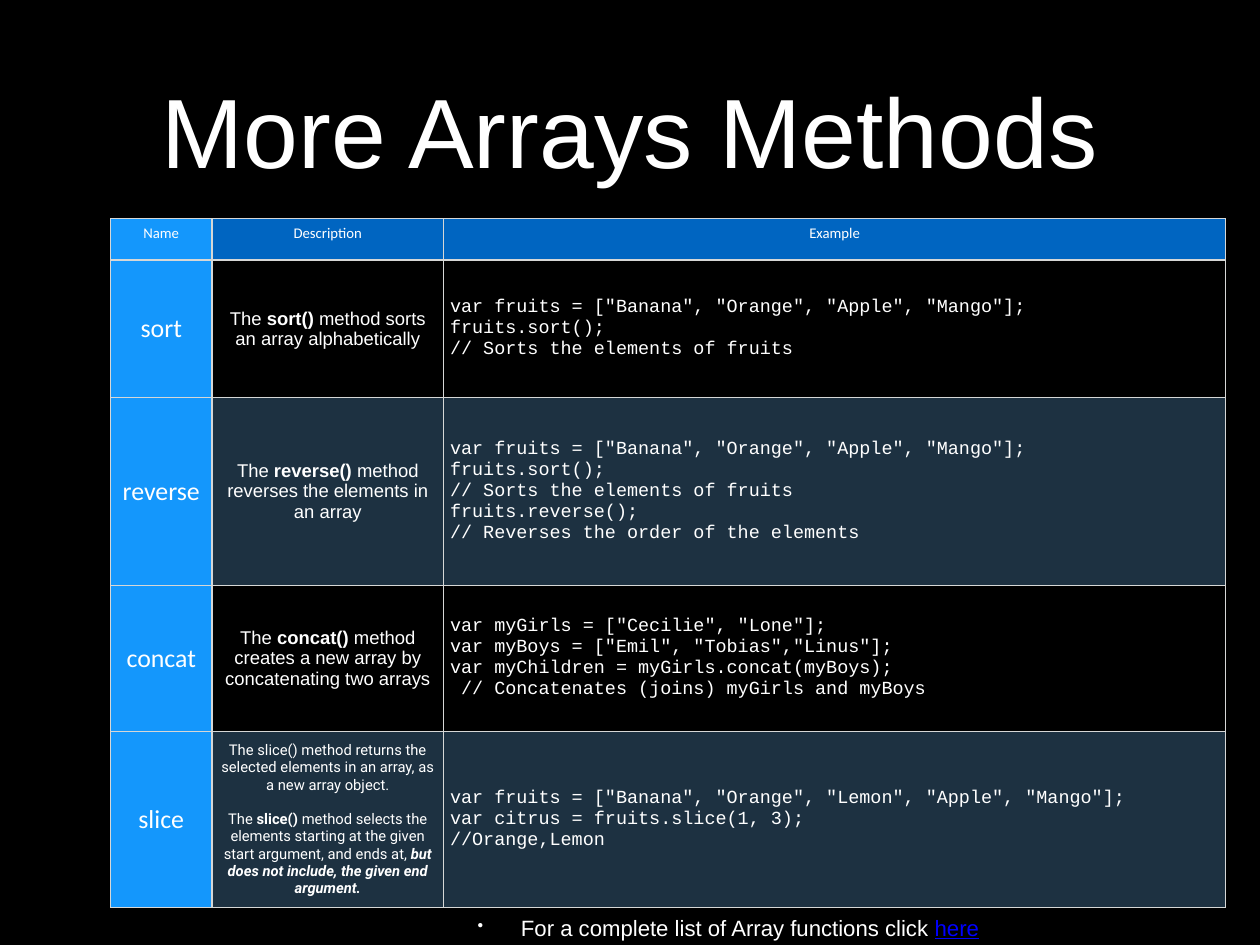
from dataclasses import dataclass

from lxml.etree import SubElement
from pptx import Presentation
from pptx.dml.color import RGBColor
from pptx.enum.text import MSO_ANCHOR, PP_ALIGN
from pptx.oxml.ns import qn
from pptx.util import Inches, Pt


@dataclass(frozen=True)
class Theme:
    """Colours, fonts and type sizes of the slide."""
    background: str = "000000"
    text: str = "FFFFFF"
    link: str = "0000FF"
    header: str = "0065C1"
    name: str = "1497FC"
    band: str = "73C0FC"
    band_alpha: int = 26
    border: str = "D6D7D6"
    sans: str = "Arial"
    label: str = "Calibri"
    code: str = "Courier New"
    detail: str = "Roboto"
    title_size: int = 80
    name_size: int = 21
    footer_size: int = 18
    body_size: int = 15
    small_size: int = 12


THEME = Theme()
COLUMN_WIDTHS = (1.14, 2.62, 8.82)
ROW_HEIGHTS = (0.47, 1.55, 2.12, 1.65, 1.99)
HEADINGS = ("Name", "Description", "Example")
METHODS = (
    ("sort",
     [[("The ", ""), ("sort()", "b"), (" method sorts an array alphabetically", "")]],
     'var fruits = ["Banana", "Orange", "Apple", "Mango"];\n'
     "fruits.sort();\n// Sorts the elements of fruits"),
    ("reverse",
     [[("The ", ""), ("reverse()", "b"),
       (" method reverses the elements in an array", "")]],
     'var fruits = ["Banana", "Orange", "Apple", "Mango"];\n'
     "fruits.sort();\n// Sorts the elements of fruits\n"
     "fruits.reverse();\n// Reverses the order of the elements"),
    ("concat",
     [[("The ", ""), ("concat()", "b"),
       (" method creates a new array by concatenating two arrays", "")]],
     'var myGirls = ["Cecilie", "Lone"];\n'
     'var myBoys = ["Emil", "Tobias","Linus"];\n'
     "var myChildren = myGirls.concat(myBoys);\n"
     " // Concatenates (joins) myGirls and myBoys"),
    ("slice",
     [[("The slice() method returns the selected elements in an array, "
        "as a new array object.", "")],
      [("The ", ""), ("slice()", "b"),
       (" method selects the elements starting at the given start argument, "
        "and ends at,", ""),
       (" but does not include, the given end argument.", "bi")]],
     'var fruits = ["Banana", "Orange", "Lemon", "Apple", "Mango"];\n'
     "var citrus = fruits.slice(1, 3);\n//Orange,Lemon"),
)


def color(value):
    """Turn a hex string into a colour."""
    return RGBColor.from_string(value)


def style(para, name, size, align=PP_ALIGN.CENTER):
    """Set the font and alignment of a paragraph."""
    para.font.name = name
    para.font.size = Pt(size)
    para.font.color.rgb = color(THEME.text)
    para.alignment = align


def set_margins(target, margin):
    """Give a cell or text frame the same margin on all sides."""
    for side in ("left", "right", "top", "bottom"):
        setattr(target, f"margin_{side}", Inches(margin))


def add_text_box(page, left, top, width, height, margin, wrap):
    """Add a middle-anchored text box and return its first paragraph."""
    frame = page.shapes.add_textbox(
        Inches(left), Inches(top), Inches(width), Inches(height)).text_frame
    frame.word_wrap = wrap
    frame.vertical_anchor = MSO_ANCHOR.MIDDLE
    set_margins(frame, margin)
    return frame.paragraphs[0]


def set_borders(cell, right, bottom):
    """Draw the four borders of a cell, with widths in points."""
    properties = cell._tc.get_or_add_tcPr()
    for tag, width in (("lnL", 1), ("lnR", right), ("lnT", 1), ("lnB", bottom)):
        line = SubElement(properties, qn(f"a:{tag}"), w=str(Pt(width)))
        fill = SubElement(line, qn("a:solidFill"))
        SubElement(fill, qn("a:srgbClr"), val=THEME.border)


def fill_cell(cell, value, alpha=100):
    """Fill a cell, or leave it clear when there is no colour."""
    if value is None:
        cell.fill.background()
        return
    cell.fill.solid()
    cell.fill.fore_color.rgb = color(value)
    if alpha < 100:
        tone = cell._tc.tcPr.find(qn("a:solidFill")).find(qn("a:srgbClr"))
        SubElement(tone, qn("a:alpha"), val=str(alpha * 1000))


def write_description(cell, paragraphs):
    """Write a description with bold and italic spans."""
    detailed = len(paragraphs) > 1
    font = THEME.detail if detailed else THEME.sans
    size = THEME.small_size if detailed else THEME.body_size
    for index, spans in enumerate(paragraphs):
        para = cell.text_frame.paragraphs[0]
        if index:
            para = cell.text_frame.add_paragraph()
            para.space_before = Pt(14)
        style(para, font, size)
        for text, marks in spans:
            span = para.add_run()
            span.text = text
            span.font.bold = "b" in marks
            span.font.italic = "i" in marks


def write_line(cell, text, font, size, align=PP_ALIGN.CENTER):
    """Write a cell with one font throughout."""
    para = cell.text_frame.paragraphs[0]
    para.text = text
    style(para, font, size, align)


def add_methods_table(page):
    """Add the table of array methods."""
    table = page.shapes.add_table(
        len(ROW_HEIGHTS), len(COLUMN_WIDTHS), Inches(1.25), Inches(2.47),
        Inches(sum(COLUMN_WIDTHS)), Inches(sum(ROW_HEIGHTS))).table
    table.first_row = table.horz_banding = False
    for column, width in zip(table.columns, COLUMN_WIDTHS):
        column.width = Inches(width)
    for row, height in zip(table.rows, ROW_HEIGHTS):
        row.height = Inches(height)
    for row_index, row in enumerate(table.rows):
        for column_index, cell in enumerate(row.cells):
            set_margins(cell, 0.07)
            cell.vertical_anchor = MSO_ANCHOR.MIDDLE if row_index else MSO_ANCHOR.TOP
            set_borders(cell, 1 if column_index else 2, 1 if row_index else 2)
            if column_index == 0:
                fill_cell(cell, THEME.name)
            elif row_index == 0:
                fill_cell(cell, THEME.header)
            elif row_index % 2 == 0:
                fill_cell(cell, THEME.band, THEME.band_alpha)
            else:
                fill_cell(cell, None)
    for cell, heading in zip(table.rows[0].cells, HEADINGS):
        write_line(cell, heading, THEME.label, THEME.small_size)
    for row_index, (name, description, example) in enumerate(METHODS, 1):
        write_line(table.cell(row_index, 0), name, THEME.label, THEME.name_size)
        write_description(table.cell(row_index, 1), description)
        write_line(table.cell(row_index, 2), example, THEME.code,
                   THEME.body_size, PP_ALIGN.LEFT)


def add_footer(page):
    """Add the bulleted pointer to the full list."""
    para = add_text_box(page, 5.33, 10.26, 5.84, 0.42, 0.06, False)
    properties = para._p.get_or_add_pPr()
    properties.set("marL", str(Inches(0.49)))
    properties.set("indent", str(-Inches(0.49)))
    bullet_color = SubElement(properties, qn("a:buClr"))
    SubElement(bullet_color, qn("a:srgbClr"), val=THEME.text)
    SubElement(properties, qn("a:buSzPct"), val="75000")
    SubElement(properties, qn("a:buChar"), char="•")
    style(para, THEME.sans, THEME.footer_size, PP_ALIGN.LEFT)
    para.add_run().text = "For a complete list of Array functions click "
    span = para.add_run()
    span.text = "here"
    span.font.color.rgb = color(THEME.link)
    span.font.underline = True


def main():
    """Build and save the slide."""
    deck = Presentation()
    deck.slide_width, deck.slide_height = Inches(14.22), Inches(10.67)
    page = deck.slides.add_slide(deck.slide_layouts[6])
    page.background.fill.solid()
    page.background.fill.fore_color.rgb = color(THEME.background)
    title = add_text_box(page, 1.04, 0.23, 12.14, 2.45, 0, True)
    title.text = "More Arrays Methods"
    style(title, THEME.sans, THEME.title_size)
    add_methods_table(page)
    add_footer(page)
    deck.save("out.pptx")


if __name__ == "__main__":
    main()
